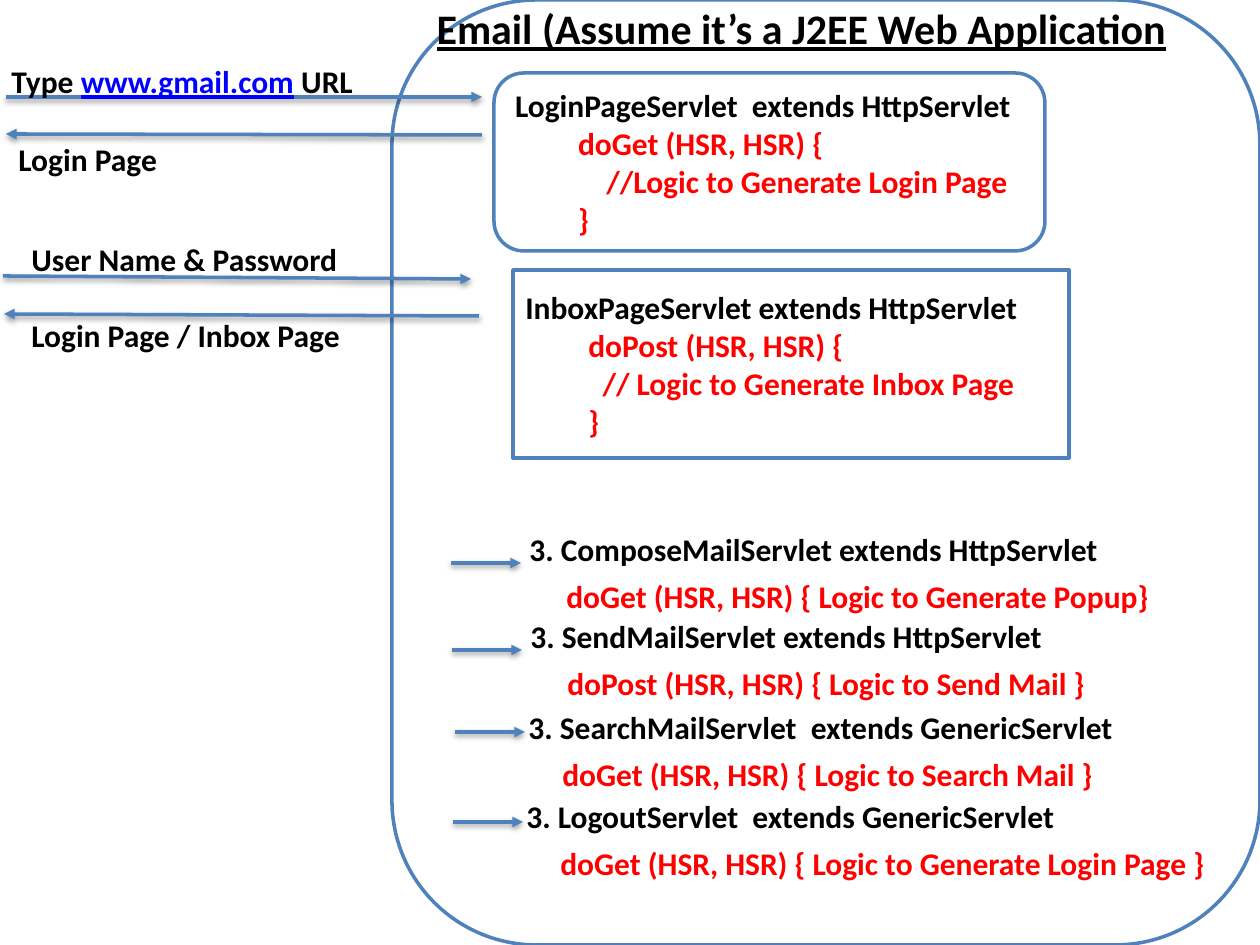
from dataclasses import dataclass

from lxml.etree import SubElement as Sub
from pptx import Presentation
from pptx.dml.color import RGBColor as Rgb
from pptx.enum.shapes import MSO_CONNECTOR as Link, MSO_SHAPE as Form
from pptx.enum.text import MSO_ANCHOR as Anchor, MSO_AUTO_SIZE as Fit, PP_ALIGN as Align
from pptx.oxml import parse_xml
from pptx.oxml.ns import nsdecls, qn
from pptx.util import Emu, Pt


@dataclass(frozen=True)
class Theme:
    face: str = "Calibri"
    ink: Rgb = Rgb(0, 0, 0)
    code: Rgb = Rgb(255, 0, 0)
    url: Rgb = Rgb(0, 0, 255)
    edge: Rgb = Rgb(0x4F, 0x81, 0xBD)
    paper: Rgb = Rgb(255, 255, 255)
    head: Pt = Pt(24)
    body: Pt = Pt(18)
    rule: Pt = Pt(2)


THEME = Theme()
SCALE = 914400 / 126
SHADE = (
    f'<a:effectLst {nsdecls("a")}>'
    '<a:outerShdw blurRad="40000" dist="20000" dir="5400000" rotWithShape="0">'
    '<a:srgbClr val="000000"><a:alpha val="38000"/></a:srgbClr>'
    '</a:outerShdw></a:effectLst>'
)


def px(*vals):
    return [Emu(round(val * SCALE)) for val in vals]


def style(para, color=THEME.ink, size=THEME.body):
    font = para.font
    font.name, font.size, font.bold = THEME.face, size, True
    font.color.rgb = color


def panel(slide, form, *box):
    shape = slide.shapes.add_shape(form, *px(*box))
    shape.shadow.inherit = False
    shape.fill.solid()
    shape.fill.fore_color.rgb = THEME.paper
    shape.line.color.rgb = THEME.edge
    shape.line.width = THEME.rule
    return shape


def title(slide, text, *box):
    shape = slide.shapes.title
    shape.left, shape.top, shape.width, shape.height = px(*box)
    frame = shape.text_frame
    frame.text = text
    frame.word_wrap = False
    frame.auto_size = Fit.SHAPE_TO_FIT_TEXT
    frame.vertical_anchor = Anchor.TOP
    para = frame.paragraphs[0]
    para.alignment = Align.CENTER
    style(para, size=THEME.head)
    para.font.underline = True
    return shape


def label(slide, box, *lines, color=THEME.ink, gap=0):
    """Add a text box; gap is the space in points before later lines."""
    frame = slide.shapes.add_textbox(*px(*box)).text_frame
    frame.word_wrap = True
    frame.auto_size = Fit.SHAPE_TO_FIT_TEXT
    frame.text = "\n".join(lines)
    for num, para in enumerate(frame.paragraphs):
        if num and gap:
            para.space_before = Pt(gap)
        style(para, color)
    return frame


def request(slide, box, before, link, after):
    """Add a label with an underlined web address in it."""
    para = label(slide, box, before).paragraphs[0]
    run = para.add_run()
    run.text = link
    run.font.color.rgb = THEME.url
    run.font.underline = True
    para.add_run().text = after


def arrow(slide, *ends):
    line = slide.shapes.add_connector(Link.STRAIGHT, *px(*ends))
    line.line.color.rgb = THEME.edge
    line.line.width = THEME.rule
    props = line._element.spPr
    Sub(props.find(qn("a:ln")), qn("a:tailEnd"), type="triangle")
    props.append(parse_xml(SHADE))


def card(slide, form, box, name, *code):
    """Add a framed servlet with its code indented below its name."""
    frame = panel(slide, form, *box).text_frame
    frame.word_wrap = True
    frame.vertical_anchor = Anchor.MIDDLE
    frame.text = "\n".join((name, *code))
    for num, para in enumerate(frame.paragraphs):
        para.alignment = Align.LEFT
        if num:
            para.level = 1
            para._p.get_or_add_pPr().set("marL", "457200")
        style(para, THEME.code if num else THEME.ink)


def servlet(slide, left, top, dent, start, level, name, code):
    """Add an arrow, a servlet name and its method on the next line."""
    arrow(slide, start, level, start + 70, level)
    label(slide, (left, top, 741, 50), name)
    label(slide, (left + dent, top + 47, 703, 50), code, color=THEME.code)


def main():
    deck = Presentation()
    deck.slide_width, deck.slide_height = px(1260, 945)
    slide = deck.slides.add_slide(deck.slide_layouts[5])

    app = panel(slide, Form.ROUNDED_RECTANGLE, 392, 0, 868, 945)
    head = title(slide, "Email (Assume it’s a J2EE Web Application", 417, -4, 769, 63)
    head._element.addprevious(app._element)

    for ends in (
        (6, 97, 482, 97),
        (482, 135, 6, 134),
        (3, 276, 471, 279),
        (479, 316, 4, 314),
    ):
        arrow(slide, *ends)
    request(slide, (-1, 56, 427, 50), "Type ", "www.gmail.com", " URL")
    label(slide, (6, 134, 247, 50), "Login Page")
    label(slide, (19, 234, 427, 127), "User Name & Password", "Login Page / Inbox Page", gap=21.6)

    card(slide, Form.ROUNDED_RECTANGLE, (494, 73, 551, 178),
         "LoginPageServlet  extends HttpServlet",
         "doGet (HSR, HSR) {", "    //Logic to Generate Login Page", "}")
    card(slide, Form.RECTANGLE, (513, 270, 556, 188),
         "InboxPageServlet extends HttpServlet",
         "doPost (HSR, HSR) {", "  // Logic to Generate Inbox Page", "}")

    for row in (
        (517, 524, 37, 451, 563, "3. ComposeMailServlet extends HttpServlet",
         "doGet (HSR, HSR) { Logic to Generate Popup}"),
        (518, 611, 37, 452, 650, "3. SendMailServlet extends HttpServlet",
         "doPost (HSR, HSR) { Logic to Send Mail }"),
        (516, 702, 34, 455, 732, "3. SearchMailServlet  extends GenericServlet",
         "doGet (HSR, HSR) { Logic to Search Mail }"),
        (514, 791, 34, 453, 822, "3. LogoutServlet  extends GenericServlet",
         "doGet (HSR, HSR) { Logic to Generate Login Page }"),
    ):
        servlet(slide, *row)

    deck.save("out.pptx")


if __name__ == "__main__":
    main()
